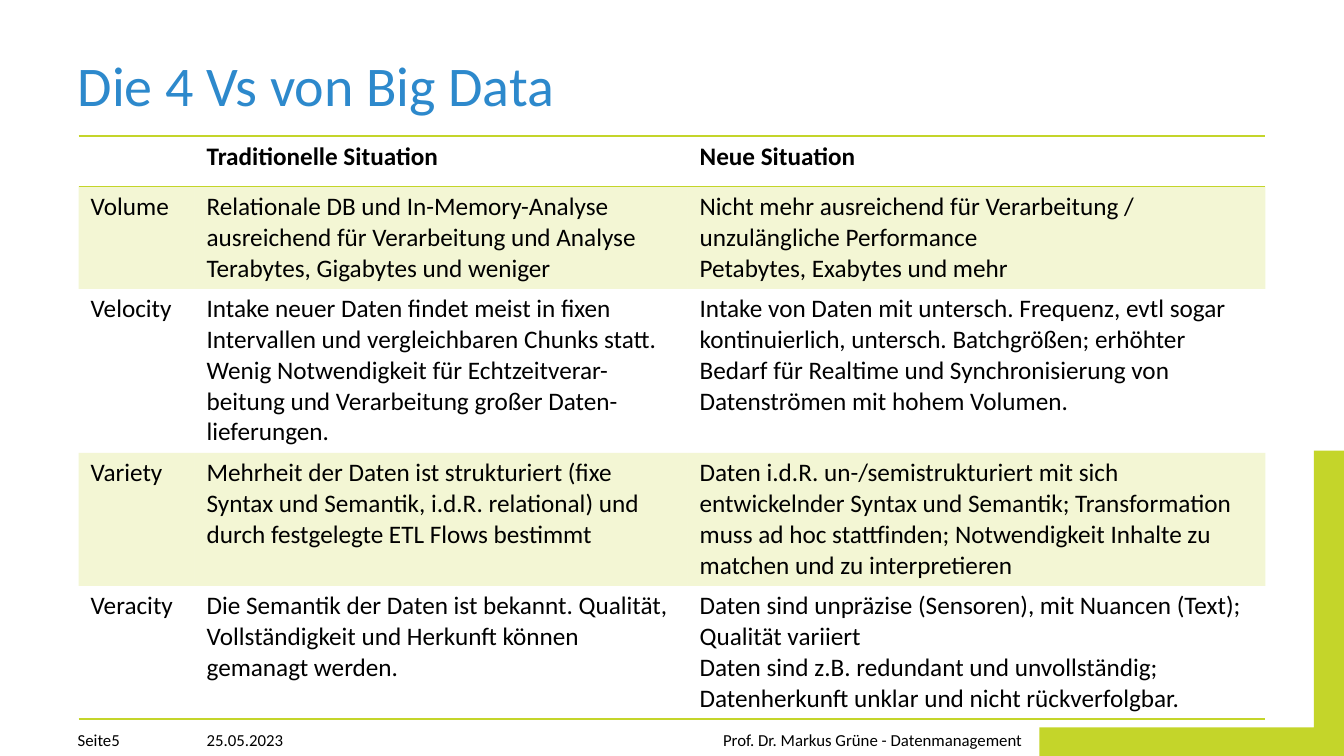
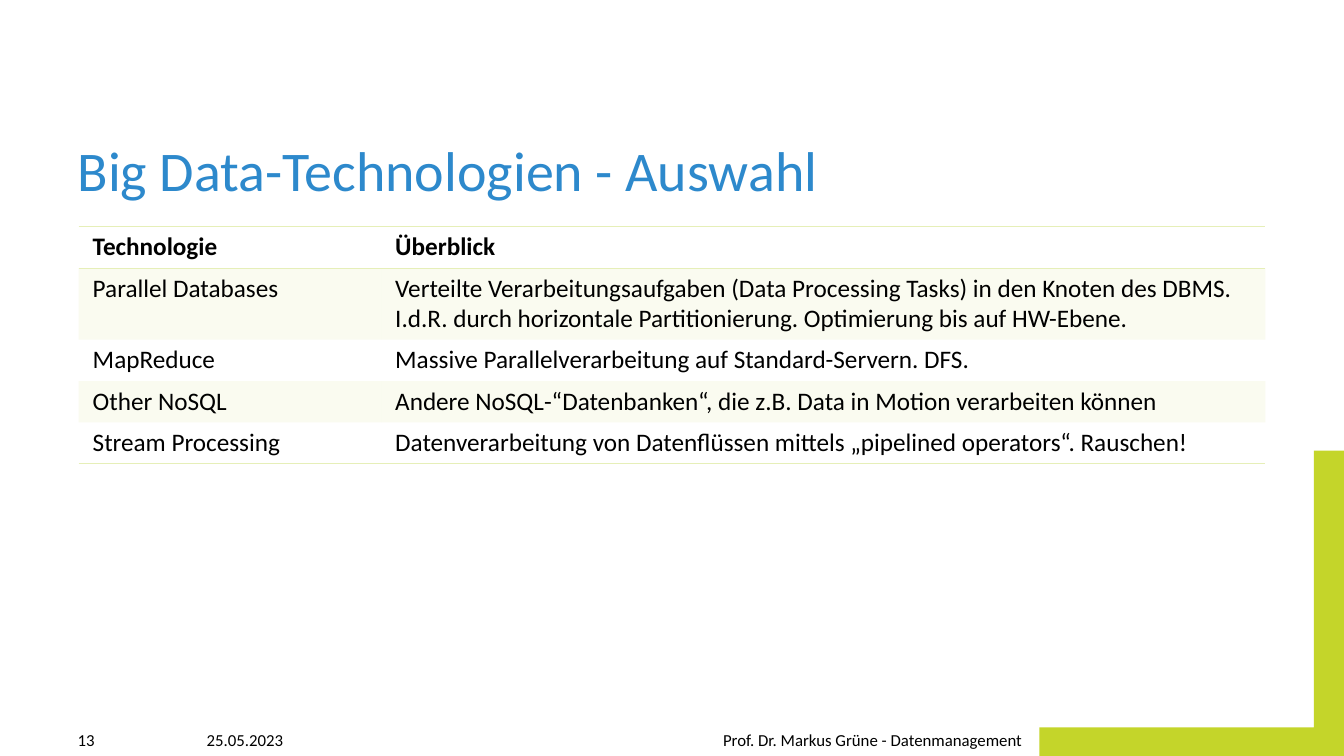
from collections import namedtuple

from lxml import etree
from pptx import Presentation
from pptx.dml.color import RGBColor
from pptx.enum.shapes import MSO_SHAPE
from pptx.enum.text import MSO_ANCHOR, MSO_AUTO_SIZE, PP_ALIGN
from pptx.oxml.ns import qn
from pptx.util import Inches, Pt

Box = namedtuple("Box", "left top width height")

CORNER = MSO_SHAPE.CORNER
BOTTOM = MSO_ANCHOR.BOTTOM
NO_AUTOFIT = MSO_AUTO_SIZE.NONE
LEFT, RIGHT = PP_ALIGN.LEFT, PP_ALIGN.RIGHT

BLUE = RGBColor(0x2D, 0x89, 0xCC)
LIME = RGBColor(0xC4, 0xD5, 0x2A)
PALE_LIME = RGBColor(0xE6, 0xEF, 0xB8)
BLACK = RGBColor(0, 0, 0)

FONT = "Calibri"
TITLE_ONLY_LAYOUT = 5
PLAIN_TABLE_STYLE = "{2D5ABB26-0587-4C30-8999-92F81FD0307C}"
BAND_ALPHA = 20000
SLIDE_WIDTH, SLIDE_HEIGHT = 13.33, 7.5
CONTENT_LEFT, CONTENT_WIDTH = 0.77, 11.77
TITLE_HEIGHT = 0.58
CORNER_BOX = Box(10.31, 4.47, 3.04, 3.04)
FOOTER_BOX = Box(CONTENT_LEFT, 7.21, 9.37, 0.23)
FOOTER_COLUMNS = (1.28, 4.05, 4.04)
DATE = "25.05.2023"
AUTHOR = "Prof. Dr. Markus Grüne - Datenmanagement"

FOUR_VS = [
    ("", "Traditionelle Situation", "Neue Situation"),
    ("Volume",
     "Relationale DB und In-Memory-Analyse ausreichend für Verarbeitung und Analyse\n"
     "Terabytes, Gigabytes und weniger",
     "Nicht mehr ausreichend für Verarbeitung / unzulängliche Performance\n"
     "Petabytes, Exabytes und mehr"),
    ("Velocity",
     "Intake neuer Daten findet meist in fixen Intervallen und vergleichbaren Chunks "
     "statt. Wenig Notwendigkeit für Echtzeitverar-beitung und Verarbeitung großer "
     "Daten-lieferungen.",
     "Intake von Daten mit untersch. Frequenz, evtl sogar kontinuierlich, untersch. "
     "Batchgrößen; erhöhter Bedarf für Realtime und Synchronisierung von Datenströmen "
     "mit hohem Volumen."),
    ("Variety",
     "Mehrheit der Daten ist strukturiert (fixe Syntax und Semantik, i.d.R. relational) "
     "und durch festgelegte ETL Flows bestimmt",
     "Daten i.d.R. un-/semistrukturiert mit sich entwickelnder Syntax und Semantik; "
     "Transformation muss ad hoc stattfinden; Notwendigkeit Inhalte zu matchen und zu "
     "interpretieren"),
    ("Veracity",
     "Die Semantik der Daten ist bekannt. Qualität, Vollständigkeit und Herkunft können "
     "gemanagt werden.",
     "Daten sind unpräzise (Sensoren), mit Nuancen (Text); Qualität variiert\n"
     "Daten sind z.B. redundant und unvollständig; Datenherkunft unklar und nicht "
     "rückverfolgbar."),
]

TECHNOLOGIES = [
    ("Technologie", "Überblick"),
    ("Parallel Databases",
     "Verteilte Verarbeitungsaufgaben (Data Processing Tasks) in den Knoten des DBMS. "
     "I.d.R. durch horizontale Partitionierung. Optimierung bis auf HW-Ebene."),
    ("MapReduce", "Massive Parallelverarbeitung auf Standard-Servern. DFS."),
    ("Other NoSQL",
     "Andere NoSQL-“Datenbanken“, die z.B. Data in Motion verarbeiten können"),
    ("Stream Processing",
     "Datenverarbeitung von Datenflüssen mittels „pipelined operators“. Rauschen!"),
]


def to_lengths(box):
    return [Inches(value) for value in box]


def format_text(text_frame, size, color=BLACK, bold=False, align=LEFT, spacing=None):
    for paragraph in text_frame.paragraphs:
        paragraph.alignment = align
        paragraph.line_spacing = spacing
        paragraph.font.name = FONT
        paragraph.font.size = Pt(size)
        paragraph.font.bold = bold
        paragraph.font.color.rgb = color


def anchor_at_bottom(text_frame):
    text_frame.margin_left = text_frame.margin_right = 0
    text_frame.margin_top = text_frame.margin_bottom = 0
    text_frame.vertical_anchor = BOTTOM
    text_frame.auto_size = NO_AUTOFIT
    text_frame.word_wrap = True


def add_corner(slide, box):
    corner = slide.shapes.add_shape(CORNER, *to_lengths(box))
    corner.rotation = 270
    corner.adjustments[0] = 0.105
    corner.adjustments[1] = 0.097
    corner.shadow.inherit = False
    corner.fill.solid()
    corner.fill.fore_color.rgb = LIME
    corner.line.fill.background()


def set_title(slide, box, text):
    title = slide.shapes.title
    title.left, title.top, title.width, title.height = to_lengths(box)
    title.text_frame.text = text
    anchor_at_bottom(title.text_frame)
    format_text(title.text_frame, 40, BLUE, spacing=0.9)


def add_footer(slide, box, page):
    left = box.left
    parts = ((page, LEFT), (DATE, LEFT), (AUTHOR, RIGHT))
    for width, (text, align) in zip(FOOTER_COLUMNS, parts):
        column = Box(left, box.top, width, box.height)
        text_frame = slide.shapes.add_textbox(*to_lengths(column)).text_frame
        text_frame.text = text
        anchor_at_bottom(text_frame)
        format_text(text_frame, 12, align=align, spacing=None if text == page else 1.2)
        left += width


def tint_cell(cell, color):
    cell.fill.solid()
    cell.fill.fore_color.rgb = color
    color_element = cell._tc.tcPr.find(".//" + qn("a:srgbClr"))
    etree.SubElement(color_element, qn("a:alpha"), val=str(BAND_ALPHA))


def add_border(cell, side, color):
    properties = cell._tc.get_or_add_tcPr()
    line = etree.Element(qn("a:" + side), w=str(Pt(1)))
    fill = etree.SubElement(line, qn("a:solidFill"))
    etree.SubElement(fill, qn("a:srgbClr"), val=str(color))
    properties.insert(0, line)


def add_banded_table(slide, box, rows, columns, heights, color, margin):
    frame = slide.shapes.add_table(len(rows), len(columns), *to_lengths(box))
    table = frame.table
    table.horz_banding = False
    table._tbl.tblPr.find(qn("a:tableStyleId")).text = PLAIN_TABLE_STYLE
    for column, width in zip(table.columns, columns):
        column.width = Inches(width)
    for row_index, (row, height) in enumerate(zip(rows, heights)):
        table.rows[row_index].height = Inches(height)
        is_header = row_index == 0
        for column_index, text in enumerate(row):
            cell = table.cell(row_index, column_index)
            cell.text = text
            cell.margin_left = cell.margin_right = Inches(margin)
            format_text(cell.text_frame, 18, bold=is_header)
            if row_index % 2:
                tint_cell(cell, color)
            if is_header or row_index == len(rows) - 1:
                add_border(cell, "lnB", color)
            if is_header:
                add_border(cell, "lnT", color)


def add_table_slide(presentation, title, title_top, page, table_top,
                    rows, columns, heights, color, margin):
    slide = presentation.slides.add_slide(presentation.slide_layouts[TITLE_ONLY_LAYOUT])
    add_corner(slide, CORNER_BOX)
    set_title(slide, Box(CONTENT_LEFT, title_top, CONTENT_WIDTH, TITLE_HEIGHT), title)
    table_box = Box(CONTENT_LEFT + 0.01, table_top, CONTENT_WIDTH, sum(heights))
    add_banded_table(slide, table_box, rows, columns, heights, color, margin)
    add_footer(slide, FOOTER_BOX, page)


def main():
    presentation = Presentation()
    presentation.slide_width = Inches(SLIDE_WIDTH)
    presentation.slide_height = Inches(SLIDE_HEIGHT)
    add_table_slide(presentation, "Die 4 Vs von Big Data", 0.6, "Seite5", 1.35,
                    FOUR_VS, (1.15, 4.89, 5.73), (0.5, 0.99, 1.57, 1.28, 1.28),
                    LIME, 0.12)
    add_table_slide(presentation, "Big Data-Technologien - Auswahl", 1.44, "13", 2.25,
                    TECHNOLOGIES, (3, 8.77), [0.41] * len(TECHNOLOGIES),
                    PALE_LIME, 0.14)
    presentation.save("out.pptx")


if __name__ == "__main__":
    main()
